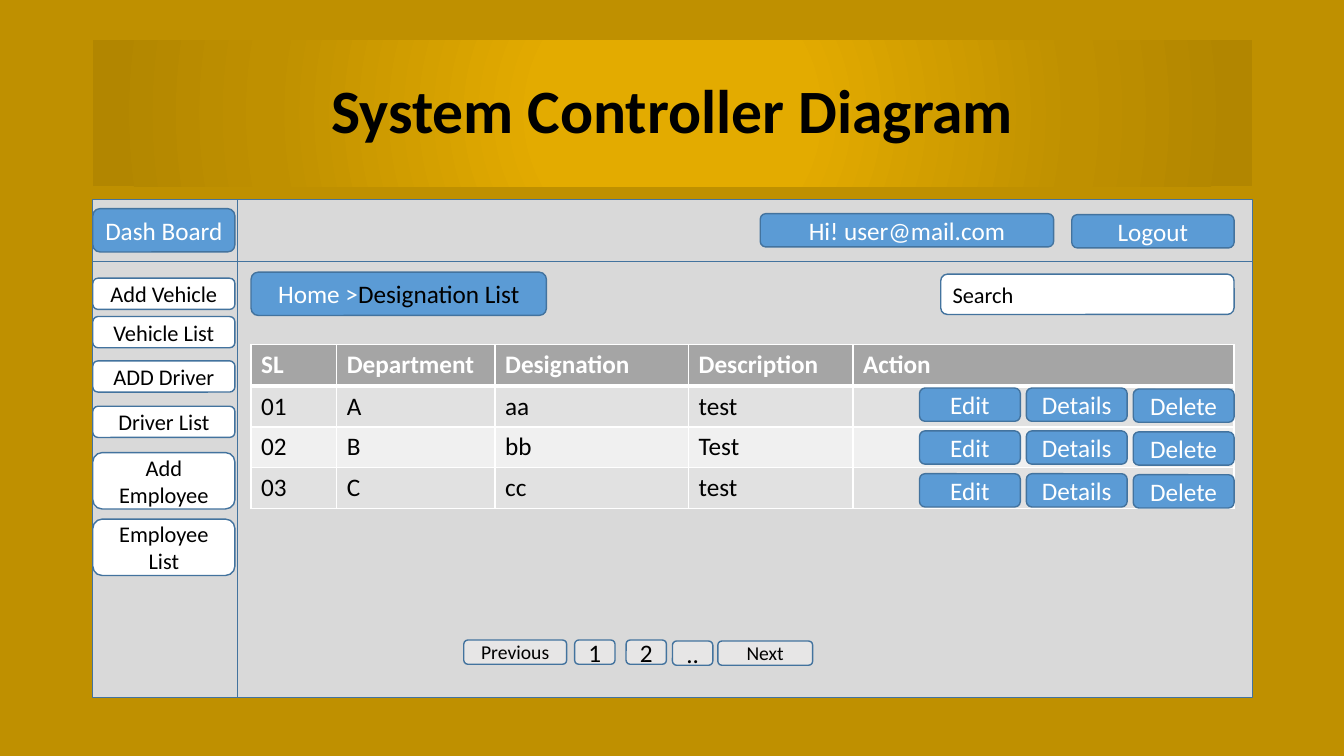
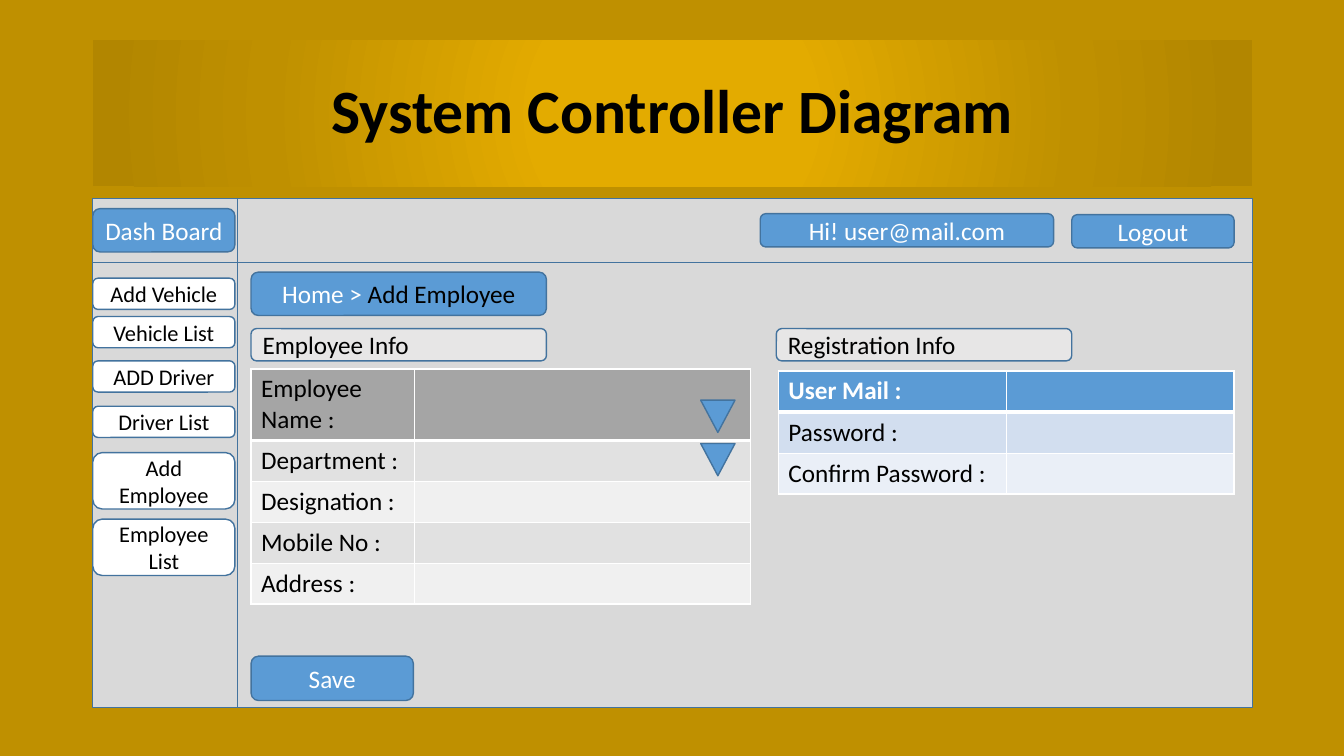
from pptx import Presentation, oxml
from pptx import util as u
from pptx.dml import color
from pptx.enum import shapes, text
from pptx.oxml import ns

rgb = color.RGBColor.from_string
Kind = shapes.MSO_SHAPE
Al = text.PP_ALIGN

# Colours
GOLD, BLUE, EDGE, PANEL = "BF9000", "5B9BD5", "43739E", "D9D9D9"
BLACK, WHITE, PALE = "000000", "FFFFFF", "E7E6E6"
GRAYS = ["A5A5A5", "E1E1E1", "F0F0F0"]
BLUES = [BLUE, "D2DEEF", "EAEFF7"]


def write(frame, *words, size=18, inks=(WHITE,), bold=False, align=Al.CENTER):
    """Fill a frame with one paragraph, one run and ink for each word."""
    frame.word_wrap = True
    para = frame.paragraphs[0]
    para.alignment = align
    for word, ink in zip(words, inks):
        run = para.add_run()
        run.text = word
        font = run.font
        font.name, font.size, font.bold = "Calibri", u.Pt(size), bold
        font.color.rgb = rgb(ink)
    return para


def box(slide, at, *words, fill=BLUE, kind=Kind.ROUNDED_RECTANGLE, **style):
    """Draw an outlined shape with its label."""
    shape = slide.shapes.add_shape(kind, *map(u.Inches, at))
    shape.shadow.inherit = False
    shape.fill.solid()
    shape.fill.fore_color.rgb = rgb(fill)
    shape.line.color.rgb = rgb(EDGE)
    shape.line.width = u.Pt(1)
    frame = shape.text_frame
    frame.vertical_anchor = text.MSO_ANCHOR.MIDDLE
    write(frame, *words, **style)


deck = Presentation()
deck.slide_width, deck.slide_height = u.Inches(13.33), u.Inches(7.5)
back = deck.slide_master.background.fill
back.solid()
back.fore_color.rgb = rgb(GOLD)

# Title band: glow from the centre
stops = [(0, "E3AB00"), (23, "E3AB00"), (69, GOLD), (97, "B28600")]
glow = "".join(
    f'<a:gs pos="{pos * 1000}"><a:srgbClr val="{ink}"/></a:gs>' for pos, ink in stops)
band = (f'<a:gradFill {ns.nsdecls("a")} rotWithShape="1"><a:gsLst>{glow}</a:gsLst>'
        '<a:path path="circle"><a:fillToRect l="50000" t="50000" r="50000" b="50000"/>'
        '</a:path></a:gradFill>')

# Side menu: label, top, height
menu = [("Add Vehicle", 2.76, 0.31), ("Vehicle List", 3.14, 0.31),
        ("ADD Driver", 3.58, 0.31), ("Driver List", 4.03, 0.31),
        ("Add Employee", 4.49, 0.56), ("Employee List", 5.15, 0.56)]

# Page frame: panel top, panel height, trail
pages = [(1.98, 4.94, ("Home >", "Designation List")),
         (1.97, 5.05, ("Home > ", "Add Employee"))]
for top, high, trail in pages:
    slide = deck.slides.add_slide(deck.slide_layouts[5])
    title = slide.shapes.title
    title.left, title.top = u.Inches(0.92), u.Inches(0.4)
    title.width, title.height = u.Inches(11.5), u.Inches(1.45)
    title.element.spPr.append(oxml.parse_xml(band))
    title.text_frame.vertical_anchor = text.MSO_ANCHOR.MIDDLE
    head = write(title.text_frame, "System Controller Diagram",
                 size=44, inks=[BLACK], bold=True)
    head.line_spacing = 0.9

    box(slide, (0.92, top, 11.5, high), fill=PANEL,
        kind=Kind.FLOWCHART_INTERNAL_STORAGE)
    box(slide, (10.63, 2.13, 1.61, 0.33), "Logout")
    box(slide, (7.54, 2.12, 2.91, 0.33), "Hi! user@mail.com")
    box(slide, (0.92, 2.07, 1.41, 0.43), "Dash Board")
    for label, y, tall in menu:
        box(slide, (0.92, y, 1.41, tall), label, fill=WHITE, size=16, inks=[BLACK])
    box(slide, (2.49, 2.7, 2.93, 0.43), *trail, inks=[WHITE, BLACK])

roles, staff = deck.slides

# Tables: slide, left, top, columns, first row height, fills, head ink, rows
grids = [
    (roles, 2.49, 3.42, [0.85, 1.57, 1.92, 1.63, 3.78], 0.41, GRAYS, WHITE,
     [["SL", "Department", "Designation", "Description", "Action"],
      ["01", "A", "aa", "test", ""],
      ["02", "B", "bb", "Test", ""],
      ["03", "C", "cc", "test", ""]]),
    (staff, 2.49, 3.66, [1.62, 3.33], 0.7, GRAYS, BLACK,
     [["Employee Name :", ""], ["Department :", ""], ["Designation :", ""],
      ["Mobile No :", ""], ["Address :", ""]]),
    (staff, 7.72, 3.68, [2.26, 2.26], 0.41, BLUES, WHITE,
     [["User Mail :", ""], ["Password :", ""], ["Confirm Password :", ""]]),
]
for slide, left, top, cols, first, fills, ink, rows in grids:
    tall = [first] + [0.405] * (len(rows) - 1)
    table = slide.shapes.add_table(
        len(rows), len(cols), u.Inches(left), u.Inches(top),
        u.Inches(sum(cols)), u.Inches(sum(tall))).table
    for col, wide in zip(table.columns, cols):
        col.width = u.Inches(wide)
    for r, row in enumerate(rows):
        table.rows[r].height = u.Inches(tall[r])
        for c, word in enumerate(row):
            cell = table.cell(r, c)
            cell.fill.solid()
            cell.fill.fore_color.rgb = rgb(fills[0 if r == 0 else 2 - r % 2])
            write(cell.text_frame, word, inks=[BLACK if r else ink],
                  bold=r == 0 and ink == WHITE, align=Al.LEFT)
            # White rules, thick below the head row
            props = cell._tc.get_or_add_tcPr()
            for n, side in enumerate("LRTB"):
                thick = (r, side) in [(0, "B"), (1, "T")]
                props.insert(n, oxml.parse_xml(
                    f'<a:ln{side} {ns.nsdecls("a")} w="{u.Pt(3 if thick else 1)}">'
                    f'<a:solidFill><a:srgbClr val="{WHITE}"/></a:solidFill></a:ln{side}>'))

# Designation list: row buttons, search and pager
for r in range(3):
    for c, label in enumerate(["Edit", "Details", "Delete"]):
        drop = 0.01 if label == "Delete" else 0
        box(roles, (9.12 + 1.06 * c, 3.85 + 0.425 * r + drop, 1, 0.33), label)
box(roles, (9.33, 2.72, 2.91, 0.4), "Search",
    fill=WHITE, size=16, inks=[BLACK], align=Al.LEFT)
pager = [("Previous", 4.6, 6.35, 1.02, 14), ("1", 5.7, 6.35, 0.4, 18),
         ("2", 6.21, 6.35, 0.4, 18), ("..", 6.67, 6.36, 0.4, 18),
         ("Next", 7.12, 6.36, 0.94, 14)]
for label, x, y, wide, size in pager:
    box(roles, (x, y, wide, 0.24), label, fill=PALE, size=size, inks=[BLACK])

# Add employee: save, drop-down marks and form heads
box(staff, (2.49, 6.51, 1.61, 0.44), "Save")
for y in (3.97, 4.4):
    box(staff, (6.95, y, 0.34, 0.32), kind=Kind.FLOWCHART_MERGE)
for label, x in [("Employee Info", 2.49), ("Registration Info", 7.7)]:
    box(staff, (x, 3.26, 2.93, 0.32), label, fill=PALE, inks=[BLACK], align=Al.LEFT)

deck.save("out.pptx")
